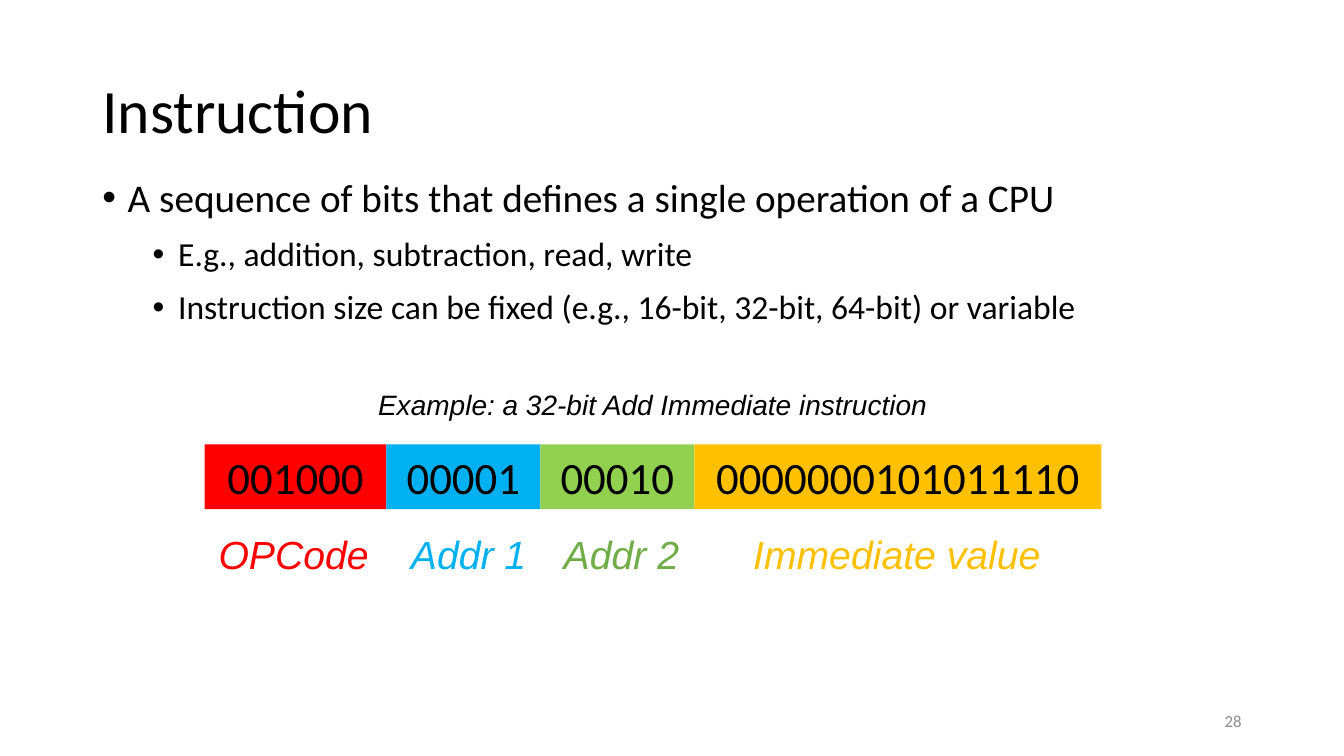
from pptx import Presentation
from pptx.dml.color import RGBColor
from pptx.enum.shapes import MSO_SHAPE
from pptx.enum.text import MSO_ANCHOR as ANCHOR, PP_ALIGN as ALIGN
from pptx.oxml.ns import qn
from pptx.util import Cm, Pt
from lxml.etree import SubElement

BLACK = RGBColor(0x00, 0x00, 0x00)
GRAY = RGBColor(0x8C, 0x8C, 0x8C)
RED = RGBColor(0xFF, 0x00, 0x00)
BLUE = RGBColor(0x00, 0xB0, 0xF0)
LIME = RGBColor(0x92, 0xD0, 0x50)
GREEN = RGBColor(0x70, 0xAD, 0x47)
AMBER = RGBColor(0xFF, 0xC0, 0x00)


def add_run(p, text, size, color=BLACK, font="Calibri", italic=False):
    r = p.add_run()
    r.text = text
    r.font.size = Pt(size)
    r.font.name = font
    r.font.italic = italic
    r.font.color.rgb = color


def add_box(left, top, width, height, anchor=ANCHOR.TOP, align=ALIGN.LEFT):
    sp = s.shapes.add_textbox(Cm(left), Cm(top), Cm(width), Cm(height))
    tf = sp.text_frame
    tf.word_wrap = True
    tf.vertical_anchor = anchor
    tf.paragraphs[0].alignment = align
    return tf


prs = Presentation()
prs.slide_width = Cm(33.87)
prs.slide_height = Cm(19.05)
s = prs.slides.add_slide(prs.slide_layouts[6])

p = add_box(2.33, 1.02, 29.21, 3.68, ANCHOR.MIDDLE).paragraphs[0]
p.line_spacing = 0.9
add_run(p, "Instruction", 44)

bullets = [
    (0, 28, "A sequence of bits that defines a single operation of a CPU"),
    (1, 24, "E.g., addition, subtraction, read, write"),
    (1, 24, "Instruction size can be fixed (e.g., 16-bit, 32-bit, 64-bit) or variable"),
]
tf = add_box(2.33, 4.37, 29.82, 12.8)
for i, (level, size, text) in enumerate(bullets):
    p = tf.add_paragraph() if i else tf.paragraphs[0]
    p.level = level
    p.line_spacing = 0.9
    if i:
        p.space_before = Pt(12)
    pPr = p._p.get_or_add_pPr()
    pPr.set("marL", str(Cm(0.64 + 1.27 * level)))
    pPr.set("indent", str(-Cm(0.64)))
    SubElement(pPr, qn("a:buFont"), typeface="Arial")
    SubElement(pPr, qn("a:buChar"), char="•")
    add_run(p, text, size)

p = add_box(23.92, 17.65, 7.62, 1.02, ANCHOR.MIDDLE, ALIGN.RIGHT).paragraphs[0]
add_run(p, "28", 12, GRAY)

p = add_box(5.16, 9.65, 22.58, 1.12, align=ALIGN.CENTER).paragraphs[0]
add_run(p, "Example: a 32-bit Add Immediate instruction", 20, font="Arial", italic=True)

fields = [
    ("001000", "OPCode", 4.58, RED, RED, -0.05),
    ("00001", "Addr 1", 3.88, BLUE, BLUE, 0.13),
    ("00010", "Addr 2", 3.88, LIME, GREEN, 0.1),
    ("0000000101011110", "Immediate value", 10.26, AMBER, AMBER, -0.03),
]
left = 5.16
for bits, label, width, fill, color, shift in fields:
    sp = s.shapes.add_shape(MSO_SHAPE.RECTANGLE, Cm(left), Cm(11.2), Cm(width), Cm(1.63))
    sp.shadow.inherit = False
    sp.fill.solid()
    sp.fill.fore_color.rgb = fill
    sp.line.fill.background()
    tf = sp.text_frame
    tf.vertical_anchor = ANCHOR.TOP
    p = tf.paragraphs[0]
    p.alignment = ALIGN.CENTER
    add_run(p, bits, 32)

    p = add_box(left + shift, 13.23, width, 1.45, align=ALIGN.CENTER).paragraphs[0]
    add_run(p, label, 28, color, "Arial", True)
    left += width

prs.save("out.pptx")
